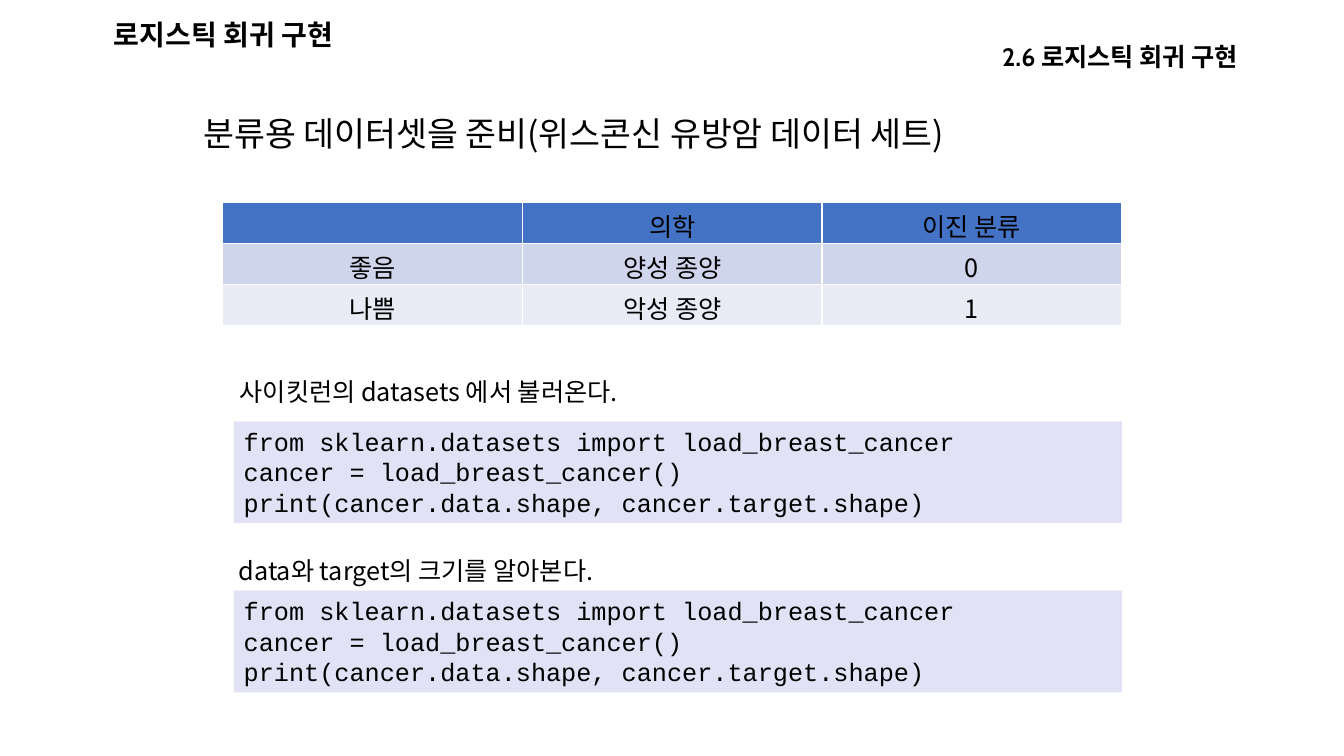
from lxml.etree import SubElement
from pptx import Presentation
from pptx.dml.color import RGBColor
from pptx.enum.shapes import MSO_SHAPE
from pptx.enum.text import MSO_ANCHOR, MSO_AUTO_SIZE, PP_ALIGN
from pptx.oxml.ns import qn
from pptx.util import Pt

BODY_FONT = "Noto Sans CJK KR"
HEADING_FONT = "Cabin"
CODE_FONT = "Courier New"
HEADING_FRAME = {
    "word_wrap": True,
    "vertical_anchor": MSO_ANCHOR.BOTTOM,
    "margin_top": Pt(1.8),
    "margin_bottom": Pt(1.8),
}
LABEL_FRAME = {"word_wrap": False, "auto_size": MSO_AUTO_SIZE.SHAPE_TO_FIT_TEXT}
CODE_FRAME = {
    "word_wrap": True,
    "auto_size": MSO_AUTO_SIZE.SHAPE_TO_FIT_TEXT,
    "vertical_anchor": MSO_ANCHOR.TOP,
}
ROW_FILLS = ["4472C4", "CFD5EA", "E9EBF5"]
TUMOR_ROWS = [
    ["", "의학", "이진 분류"],
    ["좋음", "양성 종양", "0"],
    ["나쁨", "악성 종양", "1"],
]
LOAD_CODE = [
    "from sklearn.datasets import load_breast_cancer",
    "cancer = load_breast_cancer()",
    "print(cancer.data.shape, cancer.target.shape)",
]


def color(value):
    return RGBColor.from_string(value)


def apply_format(target, values):
    for name, value in values.items():
        setattr(target, name, value)


def paint(shape, value):
    shape.fill.solid()
    shape.fill.fore_color.rgb = color(value)


def write_lines(frame, lines, font_name, size, bold=False, align=PP_ALIGN.LEFT):
    for index, line in enumerate(lines):
        paragraph = frame.paragraphs[0] if index == 0 else frame.add_paragraph()
        paragraph.alignment = align
        run = paragraph.add_run()
        run.text = line
        apply_format(run.font, {"name": font_name, "size": Pt(size), "bold": bold})
        run.font.color.rgb = color("000000")
        east_asian = SubElement(run.font._element, qn("a:ea"))
        east_asian.set("typeface", BODY_FONT)


def add_text(slide, box, text, frame_format, font_name, size, **style):
    frame = slide.shapes.add_textbox(*map(Pt, box)).text_frame
    apply_format(frame, frame_format)
    write_lines(frame, [text], font_name, size, **style)


def add_tumor_table(slide, box):
    left, top, width, height = box
    shape = slide.shapes.add_table(
        len(TUMOR_ROWS), len(TUMOR_ROWS[0]), Pt(left), Pt(top), Pt(width), Pt(height)
    )
    table = shape.table
    for row in table.rows:
        row.height = Pt(height / len(TUMOR_ROWS))
    for row_index, (texts, fill) in enumerate(zip(TUMOR_ROWS, ROW_FILLS)):
        for column_index, text in enumerate(texts):
            cell = table.cell(row_index, column_index)
            paint(cell, fill)
            cell.vertical_anchor = MSO_ANCHOR.MIDDLE
            write_lines(cell.text_frame, [text], BODY_FONT, 18, align=PP_ALIGN.CENTER)


def add_code_step(slide, box, label, label_box):
    shape = slide.shapes.add_shape(MSO_SHAPE.RECTANGLE, *map(Pt, box))
    shape.shadow.inherit = False
    shape.line.fill.background()
    paint(shape, "E2E2F6")
    apply_format(shape.text_frame, CODE_FRAME)
    write_lines(shape.text_frame, LOAD_CODE, CODE_FONT, 18)
    offset_x, offset_y, width, height = label_box
    add_text(
        slide,
        (box[0] + offset_x, box[1] + offset_y, width, height),
        label,
        LABEL_FRAME,
        BODY_FONT,
        18,
    )


def add_headings(slide, box):
    left, top, width, height = box
    add_text(slide, (left, top, 466.6, height), "로지스틱 회귀 구현",
             HEADING_FRAME, HEADING_FONT, 20, bold=True)
    add_text(slide, (left + width - 382.3, top + 15.1, 382.3, height),
             "2.6 로지스틱 회귀 구현", HEADING_FRAME, HEADING_FONT, 18,
             bold=True, align=PP_ALIGN.RIGHT)


def build_dataset_slide(presentation):
    slide = presentation.slides.add_slide(presentation.slide_layouts[6])
    add_headings(slide, (74.2, 6.5, 817.2, 31.7))
    add_text(slide, (138.2, 77, 605.5, 36), "분류용 데이터셋을 준비(위스콘신 유방암 데이터 세트)",
             LABEL_FRAME, BODY_FONT, 24)
    add_tumor_table(slide, (159.1, 144.7, 642.2, 87.8))
    add_code_step(slide, (167, 301, 634.3, 72.7),
                  "사이킷런의 datasets 에서 불러온다.", (-2.9, -36, 306, 29))
    add_code_step(slide, (167, 421.9, 634.3, 72.7),
                  "data와 target의 크기를 알아본다.", (-3.6, -28.8, 287.3, 29))


def main():
    presentation = Presentation()
    apply_format(presentation, {"slide_width": Pt(960), "slide_height": Pt(540)})
    build_dataset_slide(presentation)
    presentation.save("out.pptx")


if __name__ == "__main__":
    main()
